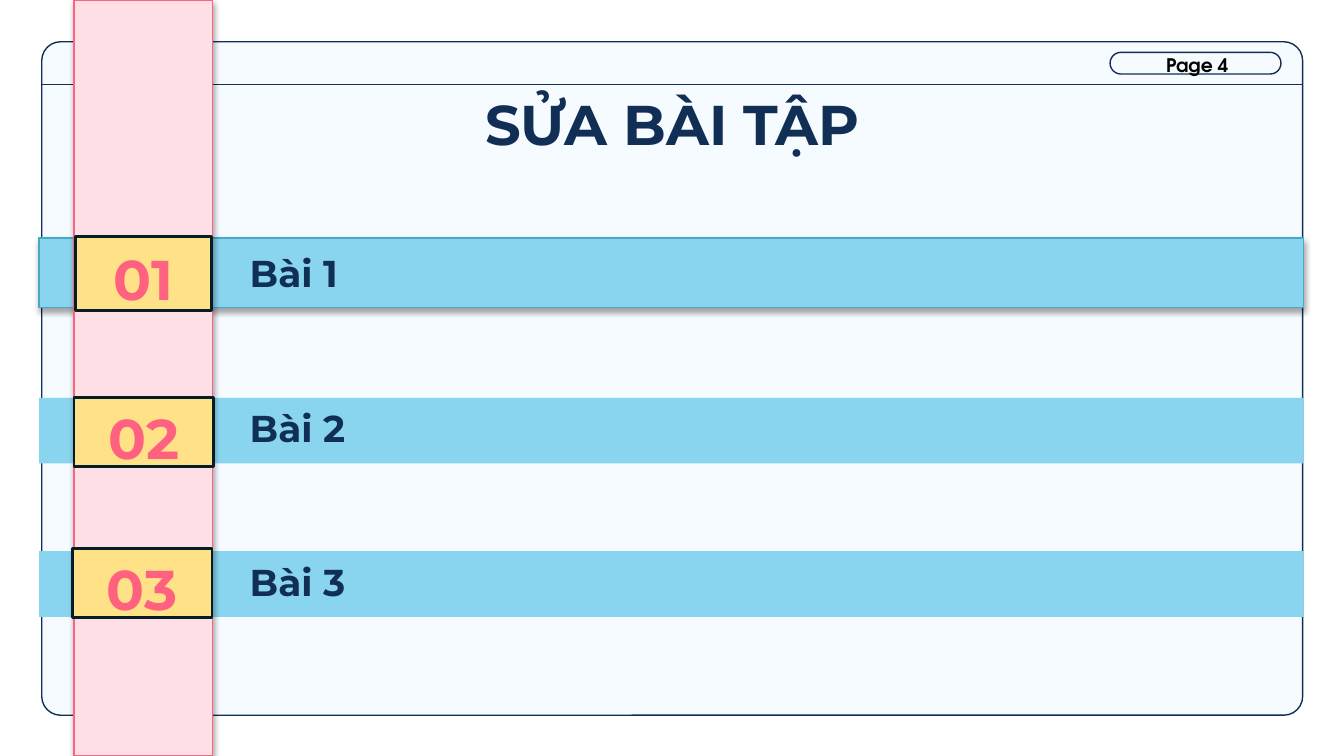
from dataclasses import dataclass
from typing import Optional

import pptx
import pptx.dml.color
import pptx.enum.shapes
import pptx.enum.text
import pptx.oxml
import pptx.oxml.ns
import pptx.util

Cm = pptx.util.Cm
Pt = pptx.util.Pt
SHAPE = pptx.enum.shapes.MSO_SHAPE
ALIGN = pptx.enum.text.PP_ALIGN
ANCHOR = pptx.enum.text.MSO_ANCHOR


@dataclass(frozen=True)
class Theme:
    panel: str = "F5FBFF"
    navy: str = "112E54"
    bar: str = "89D5EF"
    bar_edge: str = "46AAC5"
    ribbon: str = "FFDFE6"
    pink: str = "FF6180"
    badge: str = "FFE188"
    badge_edge: str = "051D25"
    black: str = "000000"
    font: str = "Montserrat"
    page_font: str = "TeX Gyre Adventor"
    title_size: float = 30
    item_size: float = 20
    page_size: float = 10
    thin: float = 0.75


@dataclass(frozen=True)
class Box:
    """Position and size in centimetres."""
    left: float
    top: float
    width: float
    height: float

    def lengths(self) -> tuple:
        return Cm(self.left), Cm(self.top), Cm(self.width), Cm(self.height)


@dataclass(frozen=True)
class Exercise:
    number: str
    label: str
    bar: Box
    badge: Box
    badge_line: float = 1.5
    raised: bool = False


THEME = Theme()
INSET = Cm(0.25)
BAR_LEFT, BAR_WIDTH = 0.74, 23.9
EXERCISES = [
    Exercise("01", "Bài 1", Box(BAR_LEFT, 4.5, BAR_WIDTH, 1.32),
             Box(1.43, 4.47, 2.57, 1.4), badge_line=2, raised=True),
    Exercise("02", "Bài 2", Box(BAR_LEFT, 7.52, BAR_WIDTH, 1.24),
             Box(1.4, 7.52, 2.64, 1.3)),
    Exercise("03", "Bài 3", Box(BAR_LEFT, 10.42, BAR_WIDTH, 1.24),
             Box(1.37, 10.37, 2.64, 1.3)),
]


def rgb(color: str) -> pptx.dml.color.RGBColor:
    return pptx.dml.color.RGBColor.from_string(color)


def add_effects(sp, shadow: bool = False) -> None:
    """Replace the theme shadow with none, or with a soft one below."""
    content = (
        '<a:outerShdw blurRad="39370" dist="22860" dir="5400000" rotWithShape="0">'
        '<a:srgbClr val="000000"><a:alpha val="35000"/></a:srgbClr></a:outerShdw>'
    ) if shadow else ""
    ns = pptx.oxml.ns.nsdecls("a")
    sp._element.spPr.append(
        pptx.oxml.parse_xml(f"<a:effectLst {ns}>{content}</a:effectLst>"))


def add_block(slide, box: Box, fill: Optional[str] = None, line: Optional[str] = None,
              weight: float = THEME.thin, shadow: bool = False,
              radius: Optional[float] = None):
    """Add a rectangle, rounded when a radius ratio is given."""
    kind = SHAPE.RECTANGLE if radius is None else SHAPE.ROUNDED_RECTANGLE
    sp = slide.shapes.add_shape(kind, *box.lengths())
    if radius is not None:
        sp.adjustments[0] = radius
    if fill:
        sp.fill.solid()
        sp.fill.fore_color.rgb = rgb(fill)
    else:
        sp.fill.background()
    if line:
        sp.line.color.rgb = rgb(line)
        sp.line.width = Pt(weight)
    else:
        sp.line.fill.background()
    add_effects(sp, shadow)
    return sp


def set_text(sp, text: str, size: float, color: str, align=ALIGN.LEFT,
             anchor=ANCHOR.TOP, spacing: float = 1.0, font: str = THEME.font):
    tf = sp.text_frame
    tf.text = text
    tf.word_wrap = True
    tf.auto_size = pptx.enum.text.MSO_AUTO_SIZE.NONE
    tf.vertical_anchor = anchor
    tf.margin_left = tf.margin_right = tf.margin_top = tf.margin_bottom = INSET
    p = tf.paragraphs[0]
    p.alignment = align
    p.line_spacing = spacing
    r = p.runs[0]
    r.font.name = font
    r.font.size = Pt(size)
    r.font.bold = True
    r.font.color.rgb = rgb(color)
    return p


def add_frame(slide) -> None:
    add_block(slide, Box(0.79, 0.79, 23.83, 12.73), THEME.panel, THEME.navy, radius=0.028)
    add_block(slide, Box(20.98, 0.99, 3.23, 0.41), line=THEME.navy, radius=0.5)
    divider = slide.shapes.add_connector(
        pptx.enum.shapes.MSO_CONNECTOR.STRAIGHT, Cm(0.79), Cm(1.6), Cm(24.62), Cm(1.6))
    divider.line.color.rgb = rgb(THEME.navy)
    divider.line.width = Pt(THEME.thin)
    add_effects(divider)


def add_bar(slide, item: Exercise) -> None:
    edge = THEME.bar_edge if item.raised else None
    sp = add_block(slide, item.bar, THEME.bar, edge, shadow=item.raised)
    p = set_text(sp, item.label, THEME.item_size, THEME.navy,
                 anchor=ANCHOR.BOTTOM, spacing=1.15)
    p._p.get_or_add_pPr().set("indent", str(Cm(3.73)))


def add_badge(slide, item: Exercise) -> None:
    sp = add_block(slide, item.badge, THEME.badge, THEME.badge_edge, item.badge_line)
    set_text(sp, item.number, THEME.title_size, THEME.pink, ALIGN.CENTER,
             ANCHOR.MIDDLE, spacing=1.15)


def place_title(slide, text: str) -> None:
    """Fill the title placeholder and bring it in front of the panel."""
    sp = slide.shapes.title
    sp.left, sp.top, sp.width, sp.height = Box(0.76, 1.45, 23.9, 1.6).lengths()
    set_text(sp, text, THEME.title_size, THEME.navy, ALIGN.CENTER)
    sp._element.getparent().append(sp._element)


def main() -> None:
    prs = pptx.Presentation()
    prs.slide_width, prs.slide_height = Cm(25.4), Cm(14.29)
    slide = prs.slides.add_slide(prs.slide_layouts[5])

    add_frame(slide)
    for item in EXERCISES:
        add_bar(slide, item)
    add_block(slide, Box(1.4, 0, 2.62, 14.29), THEME.ribbon, THEME.pink, shadow=True)
    place_title(slide, "SỬA BÀI TẬP")
    for item in EXERCISES:
        add_badge(slide, item)

    page = slide.shapes.add_textbox(*Box(21.79, 0.89, 1.85, 0.69).lengths())
    set_text(page, "Page 4", THEME.page_size, THEME.black, font=THEME.page_font)
    page.text_frame.margin_top = page.text_frame.margin_bottom = Cm(0.13)

    prs.save("out.pptx")


if __name__ == "__main__":
    main()
